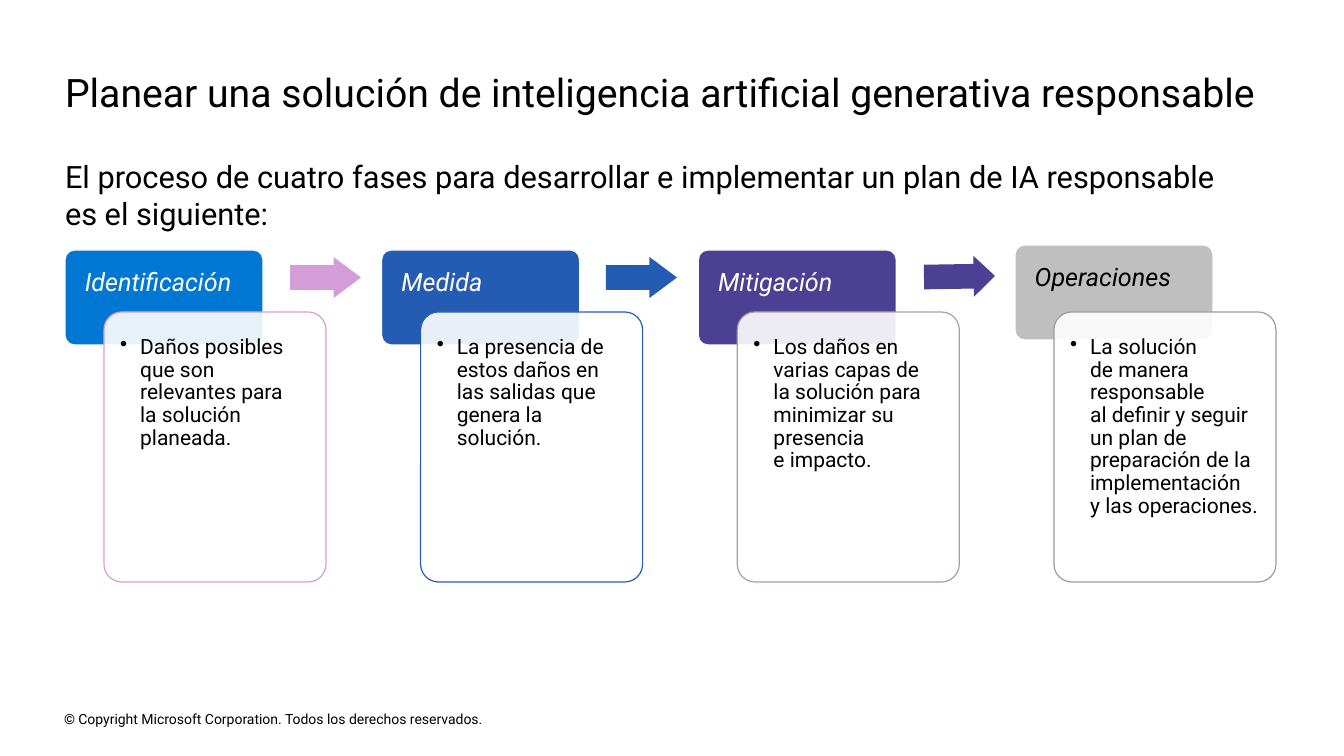
from lxml.etree import SubElement as Sub
from pptx import Presentation
from pptx.dml.color import RGBColor
from pptx.enum.shapes import MSO_SHAPE as Shape
from pptx.enum.text import MSO_ANCHOR as Anchor, MSO_AUTO_SIZE as Auto, PP_ALIGN as Align
from pptx.oxml.ns import qn
from pptx.util import Emu, Pt

BLACK = RGBColor(0x00, 0x00, 0x00)
WHITE = RGBColor(0xFF, 0xFF, 0xFF)
AZURE = RGBColor(0x00, 0x78, 0xD3)
BLUE = RGBColor(0x25, 0x5C, 0xB3)
PURPLE = RGBColor(0x4B, 0x40, 0x93)
SILVER = RGBColor(0xBF, 0xBF, 0xBF)
PINK = RGBColor(0xD5, 0x9D, 0xD7)
MAUVE = RGBColor(0xAF, 0x9D, 0x9D)
GRAY = RGBColor(0x9C, 0x9C, 0x9C)

LEFT, PITCH = 65, 950 / 3

PHASES = [
    ("Identificación", AZURE, WHITE, PINK, 250,
     "Daños posibles que son relevantes para \nla solución planeada."),
    ("Medida", BLUE, WHITE, BLUE, 250,
     "La presencia de estos daños en las salidas que genera la solución."),
    ("Mitigación", PURPLE, WHITE, MAUVE, 250,
     "Los daños en varias capas de \nla solución para minimizar su presencia \ne impacto."),
    ("Operaciones", SILVER, BLACK, GRAY, 245,
     "La solución \nde manera responsable \nal definir y seguir un plan de "
     "preparación de la implementación \ny las operaciones."),
]

ARROWS = [
    (290, 257, PINK, 0.67, 0),
    (606, 257, BLUE, 0.67, 0),
    (924, 256, PURPLE, 0.52, -0.9),
]


def px(num):
    """Turn slide pixels into EMU."""
    return Emu(round(num * 914400 / 100.8))


def place(item, box):
    """Move and size an item to a pixel box."""
    item.left, item.top, item.width, item.height = map(px, box)


def write(item, text, size, color, pad=(0, 0, 0, 0), anchor=Anchor.TOP,
          italic=False, bullet=None, indent=0, lines=1.0):
    """Fill an item with one formatted paragraph."""
    frame = item.text_frame
    frame.word_wrap = True
    frame.auto_size = Auto.NONE
    frame.vertical_anchor = anchor
    (frame.margin_left, frame.margin_top,
     frame.margin_right, frame.margin_bottom) = map(px, pad)
    para = frame.paragraphs[0]
    para.text = text
    para.alignment = Align.LEFT
    para.line_spacing = lines
    para.space_before = Pt(0)
    props = para._p.get_or_add_pPr()
    props.set("marL", str(px(indent)))
    props.set("indent", str(-px(indent)))
    if bullet:
        Sub(props, qn("a:buChar"), char=bullet)
    else:
        Sub(props, qn("a:buNone"))
    font = para.font
    font.name, font.size, font.italic = "Roboto", Pt(size), italic
    font.color.rgb = color


def draw(slide, kind, box, fill, line=None, adjust=()):
    """Add a flat preset shape."""
    item = slide.shapes.add_shape(kind, *map(px, box))
    item.shadow.inherit = False
    item.fill.solid()
    item.fill.fore_color.rgb = fill
    if line is None:
        item.line.fill.background()
    else:
        item.line.color.rgb = line
        item.line.width = Pt(0.85)
    for num, value in enumerate(adjust):
        item.adjustments[num] = value
    return item


def add_phase(slide, left, name, fill, ink, edge, top, text):
    """Add a phase header with its detail card."""
    head = draw(slide, Shape.ROUNDED_RECTANGLE, (left, top, 198, 95),
                fill, WHITE, [0.1])
    write(head, name, 18, ink, (17, 17, 9, 27), italic=True, lines=0.9)
    card = draw(slide, Shape.ROUNDED_RECTANGLE, (left + 39, 312, 222, 270),
                WHITE, edge, [0.08])
    tint = card.fill._xPr.find(".//" + qn("a:srgbClr"))
    Sub(tint, qn("a:alpha"), val="90000")
    write(card, text, 15, BLACK, (11, 19, 11, 11), bullet="•",
          indent=20, lines=0.9)


def add_arrow(slide, left, top, fill, tip, turn):
    """Add an arrow between two phases."""
    arrow = draw(slide, Shape.RIGHT_ARROW, (left, top, 71, 41), fill,
                 adjust=[0.6, tip])
    arrow.rotation = turn


def main():
    """Build the slide and save it."""
    deck = Presentation()
    deck.slide_width, deck.slide_height = px(1344), px(756)
    slide = deck.slides.add_slide(deck.slide_layouts[1])
    title, body = slide.placeholders
    place(title, (65, 44, 1239, 95))
    write(title, "Planear una solución de inteligencia artificial generativa responsable",
          28, BLACK, anchor=Anchor.MIDDLE)
    place(body, (65, 158, 1215, 75))
    write(body, "El proceso de cuatro fases para desarrollar e implementar un plan "
          "de IA responsable \nes el siguiente:", 22, BLACK)
    for num, phase in enumerate(PHASES):
        add_phase(slide, LEFT + num * PITCH, *phase)
    for arrow in ARROWS:
        add_arrow(slide, *arrow)
    note = slide.shapes.add_textbox(*map(px, (64, 708, 458, 22)))
    write(note, "© Copyright Microsoft Corporation. Todos los derechos reservados.",
          10, BLACK, anchor=Anchor.MIDDLE)
    deck.save("out.pptx")


if __name__ == "__main__":
    main()
